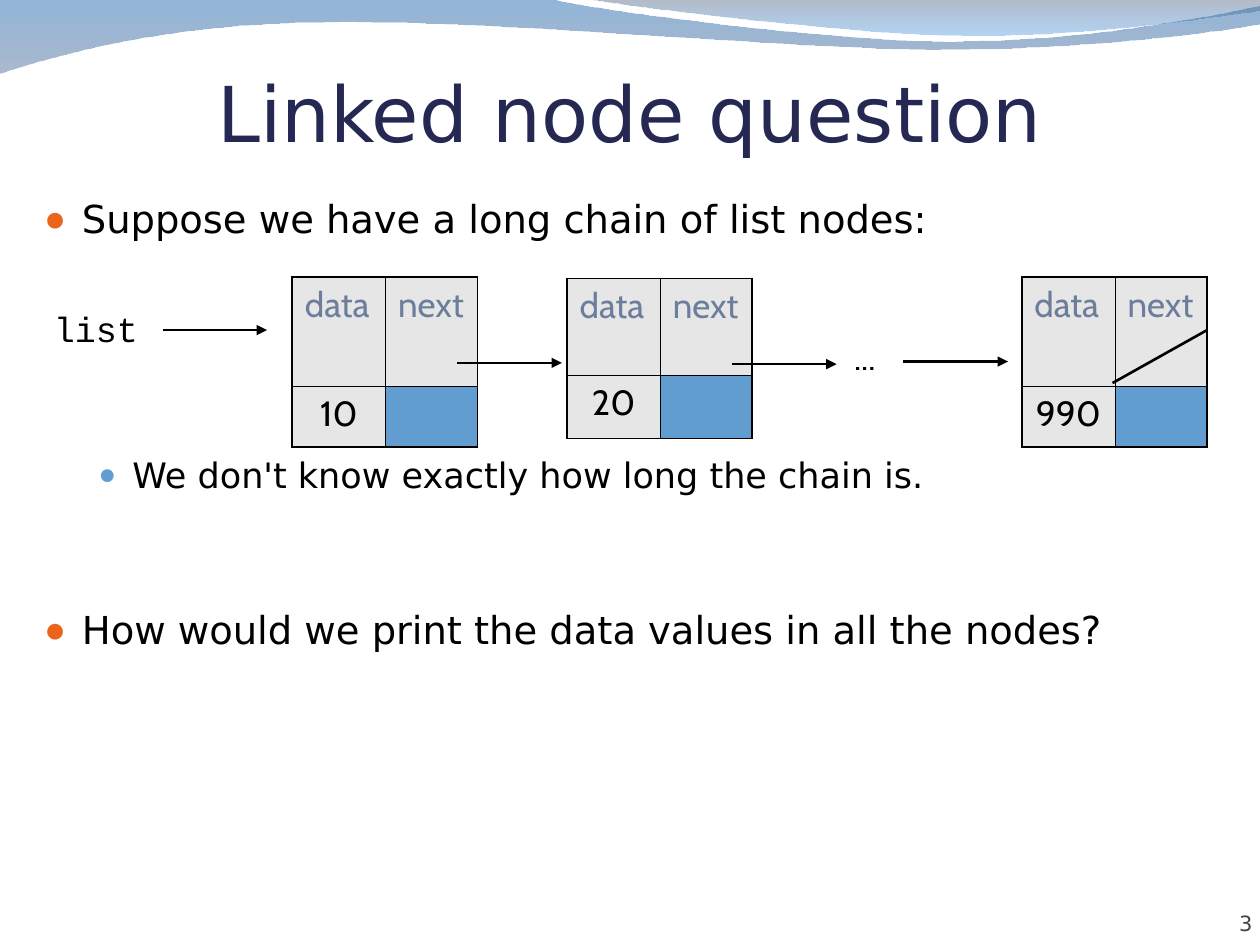
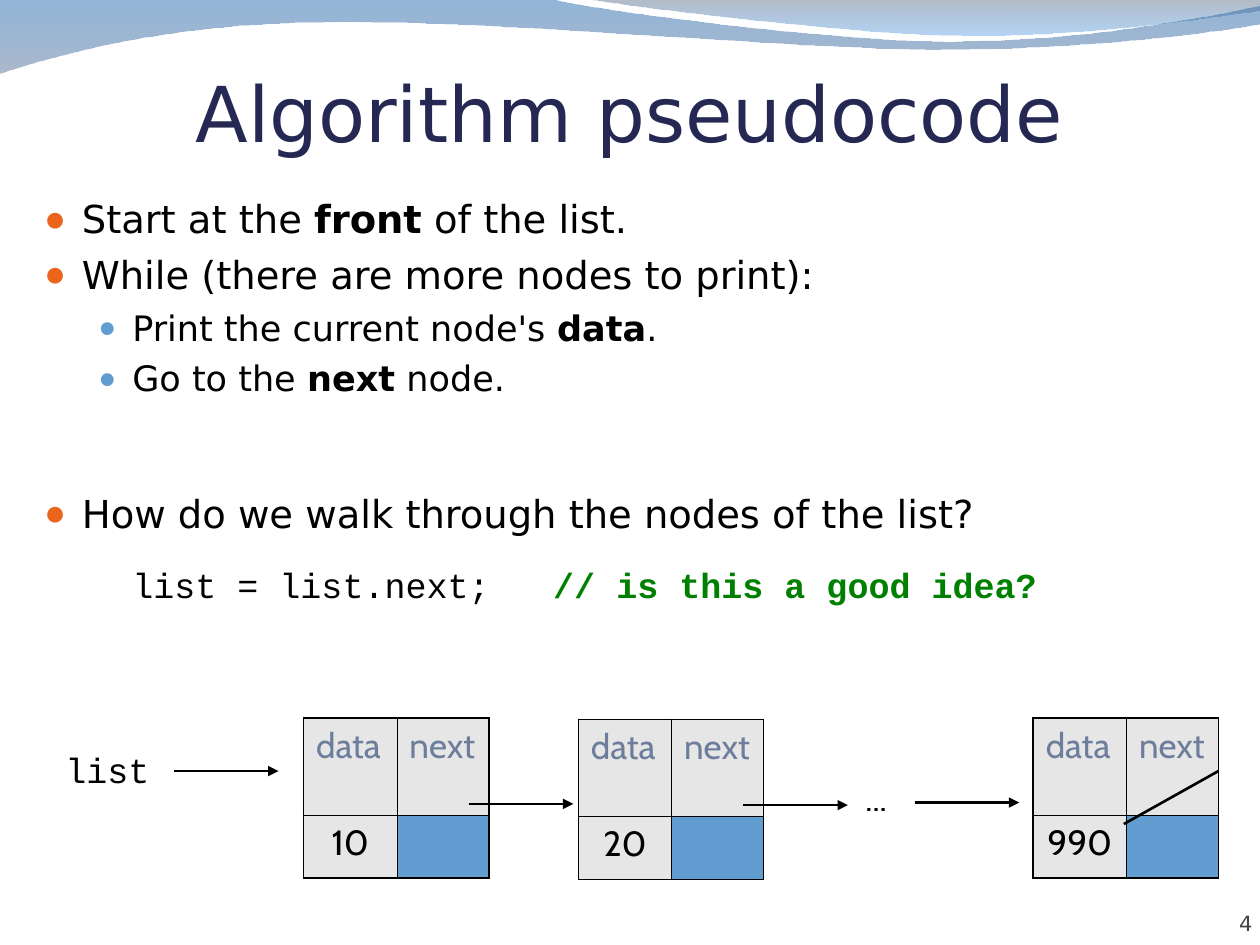
import pptx
import pptx.dml.color
import pptx.enum.shapes
import pptx.enum.text
import pptx.oxml.ns
import pptx.util
import lxml.etree

Inches = pptx.util.Inches
Pt = pptx.util.Pt
qn = pptx.oxml.ns.qn
ALIGN = pptx.enum.text.PP_ALIGN
ANCHOR = pptx.enum.text.MSO_ANCHOR

COLORS = {
    "title": "242852", "text": "000000", "number": "424242",
    "bullet": "EB641B", "sub_bullet": "629DD1", "comment": "008000",
    "cell": "E6E6E6", "pointer": "629DD1", "label": "6C7E9C",
    "wave_top": "0E5CA9", "wave_bottom": "687FA3",
    "crest_top": "576680", "crest_bottom": "046FDA",
}
SANS, MONO, NODE_FONT = "DejaVu Sans", "Courier New", "Cabin"

WAVE = [
    [(4.4, 0)],
    [(4.76, 0.09), (6.64, 0.33), (7.58, 0.33)],
    [(8.53, 0.33), (9.58, 0.14), (10, 0.05)],
    [(10.01, 0.19)],
    [(9.83, 0.23), (8.7, 0.39), (7.46, 0.39)],
    [(6.22, 0.39), (3.82, 0.15), (2.57, 0.18)],
    [(1.29, 0.19), (0.46, 0.43), (-0.01, 0.58)],
]
CREST = [
    [(4.98, 0.05), (6.74, 0.27), (7.63, 0.28)],
    [(8.52, 0.3), (9.61, 0.14), (10, 0.09)],
    [(10, 0)],
]
SHORT_ROWS = (0.77, 0.5)
TALL_ROWS = (0.87, 0.48)
ARROW_LENGTH = 0.83


def rgb(name):
    return pptx.dml.color.RGBColor.from_string(COLORS[name])


def add_element(parent, tag, **attributes):
    return lxml.etree.SubElement(parent, qn(tag), attributes)


def add_run(paragraph, text, size, font=SANS, color="text", bold=False):
    run = paragraph.add_run()
    run.text = text
    run.font.size = Pt(size)
    run.font.name = font
    run.font.bold = bold
    run.font.color.rgb = rgb(color)


def place(shape, left, top, width, height):
    shape.left, shape.top = Inches(left), Inches(top)
    shape.width, shape.height = Inches(width), Inches(height)


def set_margins(frame, left, top, right, bottom):
    frame.margin_left, frame.margin_top = Inches(left), Inches(top)
    frame.margin_right, frame.margin_bottom = Inches(right), Inches(bottom)


def bend_segments(band, outline):
    lines = iter(list(band._element.spPr.iter(qn("a:lnTo"))))
    for segment in outline:
        first, *others = [next(lines) for point in segment]
        if others:
            first.tag = qn("a:cubicBezTo")
            for other in others:
                first.append(other[0])
                other.getparent().remove(other)


def add_band(slide, start, outline, stops):
    vertices = [(Inches(x), Inches(y)) for segment in outline for x, y in segment]
    builder = slide.shapes.build_freeform(Inches(start[0]), Inches(start[1]))
    builder.add_line_segments(vertices, close=True)
    band = builder.convert_to_shape()
    bend_segments(band, outline)
    band.shadow.inherit = False
    band.line.fill.background()
    band.fill.gradient()
    band.fill.gradient_angle = 270
    for gradient_stop, (color, opacity) in zip(band.fill.gradient_stops, stops):
        gradient_stop.color.rgb = rgb(color)
    color_elements = band._element.spPr.iter(qn("a:srgbClr"))
    for color_element, (color, opacity) in zip(color_elements, stops):
        add_element(color_element, "a:alpha", val=str(opacity * 1000))


def add_text(slide, text, box, size, font, color="text", wrap=False):
    shape = slide.shapes.add_textbox(0, 0, 0, 0)
    place(shape, *box)
    shape.text_frame.word_wrap = wrap
    add_run(shape.text_frame.paragraphs[0], text, size, font, color)
    return shape.text_frame


def add_title(slide, text):
    title = slide.shapes.title
    place(title, 0.5, 0.48, 9, 0.77)
    frame = title.text_frame
    frame.auto_size = pptx.enum.text.MSO_AUTO_SIZE.NONE
    frame.vertical_anchor = ANCHOR.BOTTOM
    set_margins(frame, 0, 0.05, 0, 0)
    frame.paragraphs[0].alignment = ALIGN.CENTER
    add_run(frame.paragraphs[0], text, 44, color="title")


def start_slide(presentation, title, number):
    slide = presentation.slides.add_slide(presentation.slide_layouts[1])
    add_band(slide, (0, 0), WAVE, [("wave_top", 45), ("wave_bottom", 55)])
    add_band(slide, (4.67, 0), CREST, [("crest_top", 45), ("crest_bottom", 30)])
    add_title(slide, title)
    frame = add_text(slide, str(number), (9.11, 7.03, 0.83, 0.4), 12, SANS, "number", True)
    frame.vertical_anchor = ANCHOR.BOTTOM
    set_margins(frame, 0, 0, 0, 0)
    frame.paragraphs[0].alignment = ALIGN.RIGHT
    body = slide.placeholders[1]
    place(body, 0.25, 1.5, 9.75, 5.67)
    body.text_frame.auto_size = pptx.enum.text.MSO_AUTO_SIZE.NONE
    return slide, body.text_frame


def next_paragraph(frame, level, indent, hanging, space_before):
    first = not frame.paragraphs[0].runs
    paragraph = frame.paragraphs[0] if first else frame.add_paragraph()
    paragraph.level = level
    paragraph.space_before = Pt(0 if first else space_before)
    properties = paragraph._p.get_or_add_pPr()
    properties.set("marL", str(Inches(indent)))
    properties.set("indent", str(-Inches(hanging)))
    return paragraph, properties


def add_bullet(frame, *texts, level=0, space_before=None):
    indent, hanging, color, percent, size, gap = (
        (0.3, 0.3, "bullet", 95, 22, 5.5),
        (0.7, 0.27, "sub_bullet", 85, 20, 5),
    )[level]
    paragraph, properties = next_paragraph(
        frame, level, indent, hanging, space_before or gap)
    add_element(add_element(properties, "a:buClr"), "a:srgbClr", val=COLORS[color])
    add_element(properties, "a:buSzPct", val=str(percent * 1000))
    add_element(properties, "a:buChar", char="●")
    for index, text in enumerate(texts):
        add_run(paragraph, text, size, bold=index % 2 == 1)


def add_code(frame, code, comment, space_before):
    paragraph, properties = next_paragraph(frame, 1, 0.7, 0, space_before)
    add_element(properties, "a:buNone")
    add_run(paragraph, code, 20, MONO)
    add_run(paragraph, comment, 20, MONO, "comment", True)


def add_line(slide, start, end, arrow=True):
    line = slide.shapes.add_connector(
        pptx.enum.shapes.MSO_CONNECTOR.STRAIGHT,
        *(Inches(value) for value in (*start, *end)))
    line.line.color.rgb = rgb("text")
    line.line.width = Pt(1.5)
    if arrow:
        add_element(line.line._get_or_add_ln(), "a:tailEnd", type="triangle")
    add_element(line._element.spPr, "a:effectLst")


def set_borders(cell, row, column):
    properties = cell._tc.get_or_add_tcPr()
    outer_sides = {"L": column == 0, "R": column == 1, "T": row == 0, "B": row == 1}
    for index, (side, outer) in enumerate(outer_sides.items()):
        border = add_element(properties, "a:ln" + side, w=str(Pt(1.08 if outer else 0.45)))
        fill = add_element(border, "a:solidFill")
        add_element(fill, "a:srgbClr", val=COLORS["text"])
        properties.insert(index, border)


def add_node(slide, value, left, top, rows):
    table = slide.shapes.add_table(
        2, 2, Inches(left), Inches(top), Inches(1.47), Inches(sum(rows))).table
    table.first_row = table.horz_banding = False
    for column, width in zip(table.columns, (0.74, 0.73)):
        column.width = Inches(width)
    for row, height in zip(table.rows, rows):
        row.height = Inches(height)
    for index, text in enumerate(("data", "next", value, "")):
        row, column = divmod(index, 2)
        cell = table.cell(row, column)
        cell.fill.solid()
        cell.fill.fore_color.rgb = rgb("cell" if text else "pointer")
        set_borders(cell, row, column)
        if text:
            paragraph = cell.text_frame.paragraphs[0]
            paragraph.alignment = ALIGN.CENTER if row else ALIGN.LEFT
            add_run(paragraph, text, 20, NODE_FONT, "text" if row else "label")


def add_chain(slide, left, top, end_rows):
    add_text(slide, "list", (left, top + 0.19, 0.87, 0.44), 20, MONO)
    add_text(slide, "...", (left + 6.35, top + 0.41, 0.42, 0.44), 20, NODE_FONT)
    add_node(slide, "10", left + 1.99, top, end_rows)
    add_node(slide, "20", left + 4.17, top + 0.01, SHORT_ROWS)
    add_node(slide, "990", left + 7.78, top, end_rows)
    for x, y in ((0.96, 0.42), (3.3, 0.68), (5.48, 0.69), (6.84, 0.67)):
        add_line(slide, (left + x, top + y), (left + x + ARROW_LENGTH, top + y))
    add_line(slide, (left + 9.25, top + 0.42), (left + 8.5, top + 0.84), arrow=False)


def build_question(presentation):
    slide, body = start_slide(presentation, "Linked node question", 3)
    add_bullet(body, "Suppose we have a long chain of list nodes:")
    add_bullet(body, "We don't know exactly how long the chain is.", level=1, space_before=121)
    add_bullet(body, "How would we print the data values in all the nodes?", space_before=63.5)
    add_chain(slide, 0.33, 2.2, TALL_ROWS)


def build_pseudocode(presentation):
    slide, body = start_slide(presentation, "Algorithm pseudocode", 4)
    add_bullet(body, "Start at the ", "front", " of the list.")
    add_bullet(body, "While (there are more nodes to print):")
    add_bullet(body, "Print the current node's ", "data", ".", level=1)
    add_bullet(body, "Go to the ", "next", " node.", level=1)
    add_bullet(body, "How do we walk through the nodes of the list?", space_before=52)
    add_code(body, "list = list.next;   ", "// is this a good idea?", 15.7)
    add_chain(slide, 0.42, 5.7, SHORT_ROWS)


def main():
    presentation = pptx.Presentation()
    presentation.slide_width = Inches(10)
    presentation.slide_height = Inches(7.5)
    build_question(presentation)
    build_pseudocode(presentation)
    presentation.save("out.pptx")


if __name__ == "__main__":
    main()
